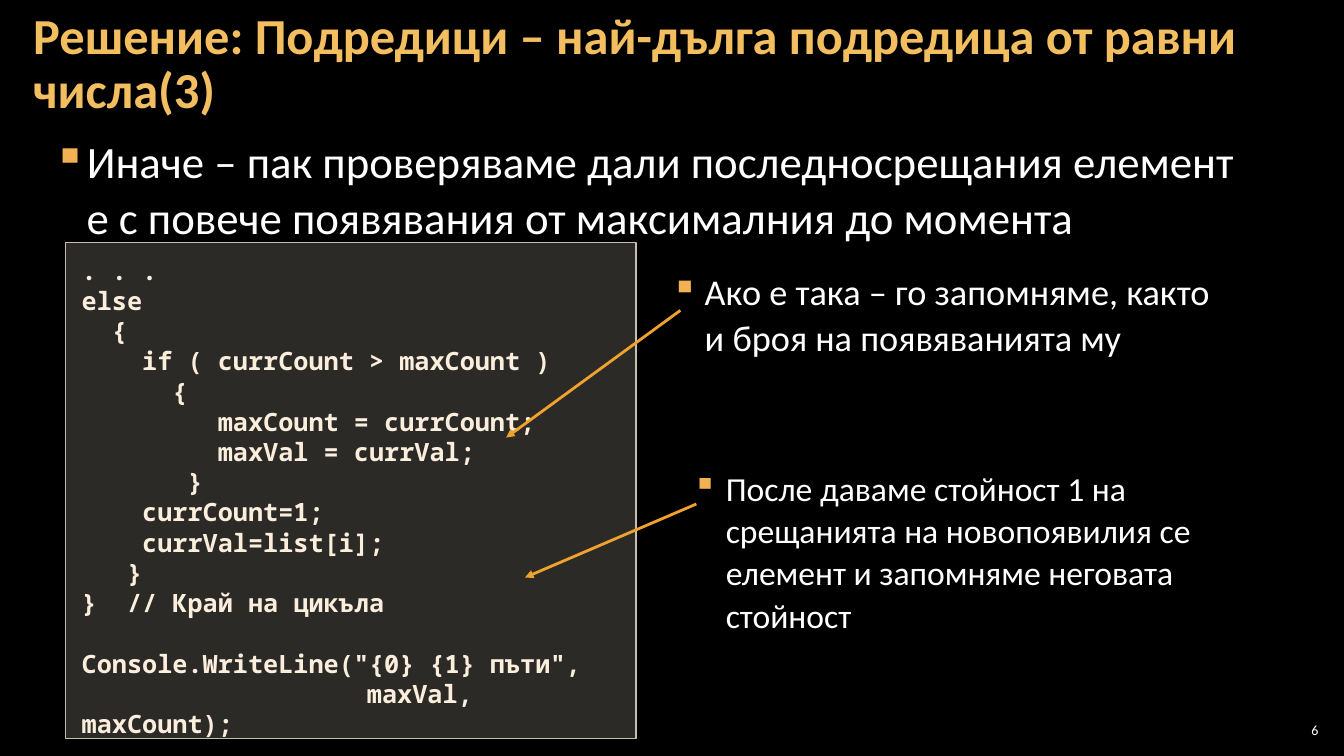
import dataclasses

import lxml.etree
import pptx
import pptx.dml.color
import pptx.enum.shapes
import pptx.enum.text
import pptx.oxml.ns
import pptx.util

ALIGN = pptx.enum.text.PP_ALIGN
ANCHOR = pptx.enum.text.MSO_ANCHOR

CODE = """. . .
else
  {
    if ( currCount > maxCount )
      {
         maxCount = currCount;
         maxVal = currVal;
       }
    currCount=1;
    currVal=list[i];
   }
}  // Край на цикъла

Console.WriteLine("{0} {1} пъти",
\t          maxVal, maxCount);"""


@dataclasses.dataclass(frozen=True)
class Theme:
    background: str = "000000"
    heading: str = "F3BE60"
    body: str = "FFFFFF"
    bullet: str = "F2B254"
    arrow: str = "F0A22E"
    code: str = "FBEEDC"
    panel: str = "D9D5C7"
    panel_opacity: int = 20
    panel_edge: str = "C7BFAC"
    text_font: str = "Calibri"
    code_font: str = "Noto Sans Mono"
    heading_size: float = 36
    body_size: float = 32
    first_note_size: float = 25.9
    second_note_size: float = 24
    code_size: float = 18
    number_size: float = 10


def rgb(value):
    return pptx.dml.color.RGBColor.from_string(value)


def add_xml(parent, tag, **attributes):
    return lxml.etree.SubElement(parent, pptx.oxml.ns.qn(tag), attributes)


def write(frame, text, *, size, color, font, bold=False, align=ALIGN.LEFT,
          anchor=ANCHOR.TOP, insets=(0.12, 0.04), spacing=None, after=0,
          bullet=None, tab=None):
    frame.word_wrap = True
    frame.auto_size = pptx.enum.text.MSO_AUTO_SIZE.NONE
    frame.vertical_anchor = anchor
    frame.margin_left = frame.margin_right = pptx.util.Inches(insets[0])
    frame.margin_top = frame.margin_bottom = pptx.util.Inches(insets[1])
    for index, line in enumerate(text.split("\n")):
        paragraph = frame.add_paragraph() if index else frame.paragraphs[0]
        properties = paragraph._p.get_or_add_pPr()
        if bullet:
            indent = pptx.util.Inches(0.33)
            properties.set("marL", str(indent))
            properties.set("indent", str(-indent))
            add_xml(add_xml(properties, "a:buClr"), "a:srgbClr", val=bullet)
            add_xml(properties, "a:buChar", char="▪")
        if tab:
            stops = add_xml(properties, "a:tabLst")
            add_xml(stops, "a:tab", pos=str(pptx.util.Inches(tab)), algn="l")
        paragraph.alignment = align
        paragraph.line_spacing = spacing
        paragraph.space_before = pptx.util.Pt(0)
        paragraph.space_after = pptx.util.Pt(after)
        if line:
            paragraph.add_run().text = line
        for style in [paragraph.font] + [run.font for run in paragraph.runs]:
            style.size = pptx.util.Pt(size)
            style.name = font
            style.bold = bold
            style.color.rgb = rgb(color)


class Deck:
    COLUMNS = 32
    ROWS = 18

    def __init__(self, theme):
        self.theme = theme
        self.presentation = pptx.Presentation()
        self.presentation.slide_width = pptx.util.Inches(13.33)
        self.presentation.slide_height = pptx.util.Inches(7.5)
        self.slide = None

    def new_slide(self):
        layout = self.presentation.slide_layouts.get_by_name("Title Only")
        self.slide = self.presentation.slides.add_slide(layout)
        fill = self.slide.background.fill
        fill.solid()
        fill.fore_color.rgb = rgb(self.theme.background)

    def place(self, *cells):
        units = (self.presentation.slide_width / self.COLUMNS,
                 self.presentation.slide_height / self.ROWS)
        return [round(cell * units[i % 2]) for i, cell in enumerate(cells)]

    def title(self, text, *cells):
        heading = self.slide.shapes.title
        heading.left, heading.top, heading.width, heading.height = self.place(*cells)
        write(heading.text_frame, text, size=self.theme.heading_size,
              color=self.theme.heading, font=self.theme.text_font, bold=True,
              anchor=ANCHOR.MIDDLE, spacing=0.9)

    def text(self, text, *cells, **style):
        box = self.slide.shapes.add_textbox(*self.place(*cells))
        write(box.text_frame, text, color=self.theme.body,
              font=self.theme.text_font, **style)

    def bullet(self, text, *cells, size):
        self.text(text, *cells, size=size, spacing=1.05, after=6,
                  bullet=self.theme.bullet)

    def code(self, text, *cells):
        panel = self.slide.shapes.add_shape(
            pptx.enum.shapes.MSO_SHAPE.RECTANGLE, *self.place(*cells))
        panel.shadow.inherit = False
        panel.fill.solid()
        panel.fill.fore_color.rgb = rgb(self.theme.panel)
        tint = panel._element.spPr.find(".//" + pptx.oxml.ns.qn("a:srgbClr"))
        add_xml(tint, "a:alpha", val=str(self.theme.panel_opacity * 1000))
        panel.line.color.rgb = rgb(self.theme.panel_edge)
        panel.line.width = pptx.util.Pt(1)
        write(panel.text_frame, text, size=self.theme.code_size,
              color=self.theme.code, font=self.theme.code_font, bold=True,
              insets=(0.16, 0.12), tab=1.33)

    def arrow(self, *cells):
        pointer = self.slide.shapes.add_connector(
            pptx.enum.shapes.MSO_CONNECTOR.STRAIGHT, *self.place(*cells))
        pointer.line.color.rgb = rgb(self.theme.arrow)
        pointer.line.width = pptx.util.Pt(2)
        add_xml(pointer.line._get_or_add_ln(), "a:tailEnd", type="triangle")
        add_xml(pointer._element.spPr, "a:effectLst")

    def number(self, text, *cells):
        self.text(text, *cells, size=self.theme.number_size, align=ALIGN.RIGHT,
                  anchor=ANCHOR.MIDDLE, insets=(0.04, 0.04))


def main():
    theme = Theme()
    deck = Deck(theme)
    deck.new_slide()
    deck.bullet("Иначе – пак проверяваме дали последносрещания елемент е с "
                "повече появявания от максимaлния до момента",
                0.98, 3.02, 29.3, 4.37, size=theme.body_size)
    deck.title("Решение: Подредици – най-дълга подредица от равни числа(3)",
               0.5, 0.1, 30.98, 2.9)
    deck.code(CODE, 1.56, 5.78, 13.58, 11.81)
    deck.arrow(16.2, 7.39, 12.05, 10.42)
    deck.arrow(16.58, 12, 12.5, 13.75)
    deck.bullet("Ако е така – го запомняме, както и броя на появяванията му",
                15.7, 6.26, 14.02, 3.19, size=theme.first_note_size)
    deck.bullet("После даваме стойност 1 на срещанията на новопоявилия се "
                "елемент и запомняме неговата стойност",
                16.2, 10.99, 13.51, 5.86, size=theme.second_note_size)
    deck.number("6", 30.36, 17.14, 1.13, 0.5)
    deck.presentation.save("out.pptx")


if __name__ == "__main__":
    main()
